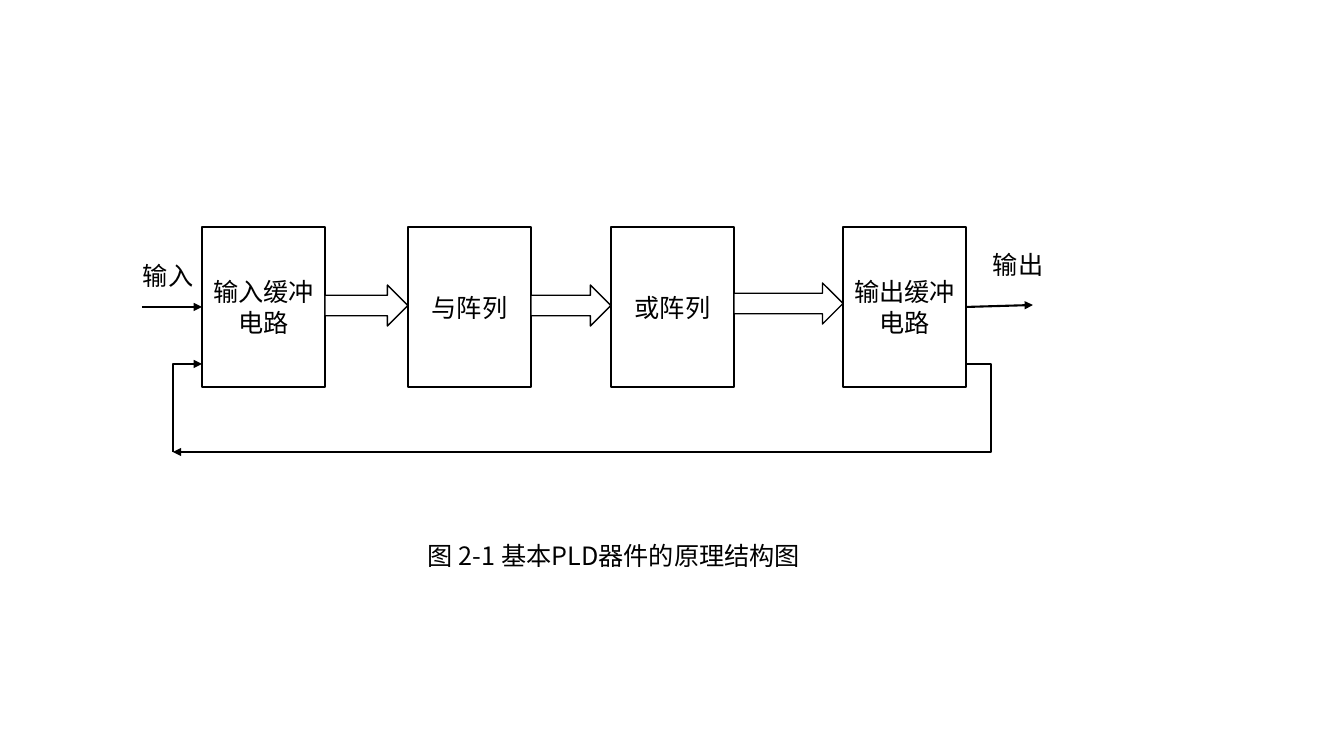
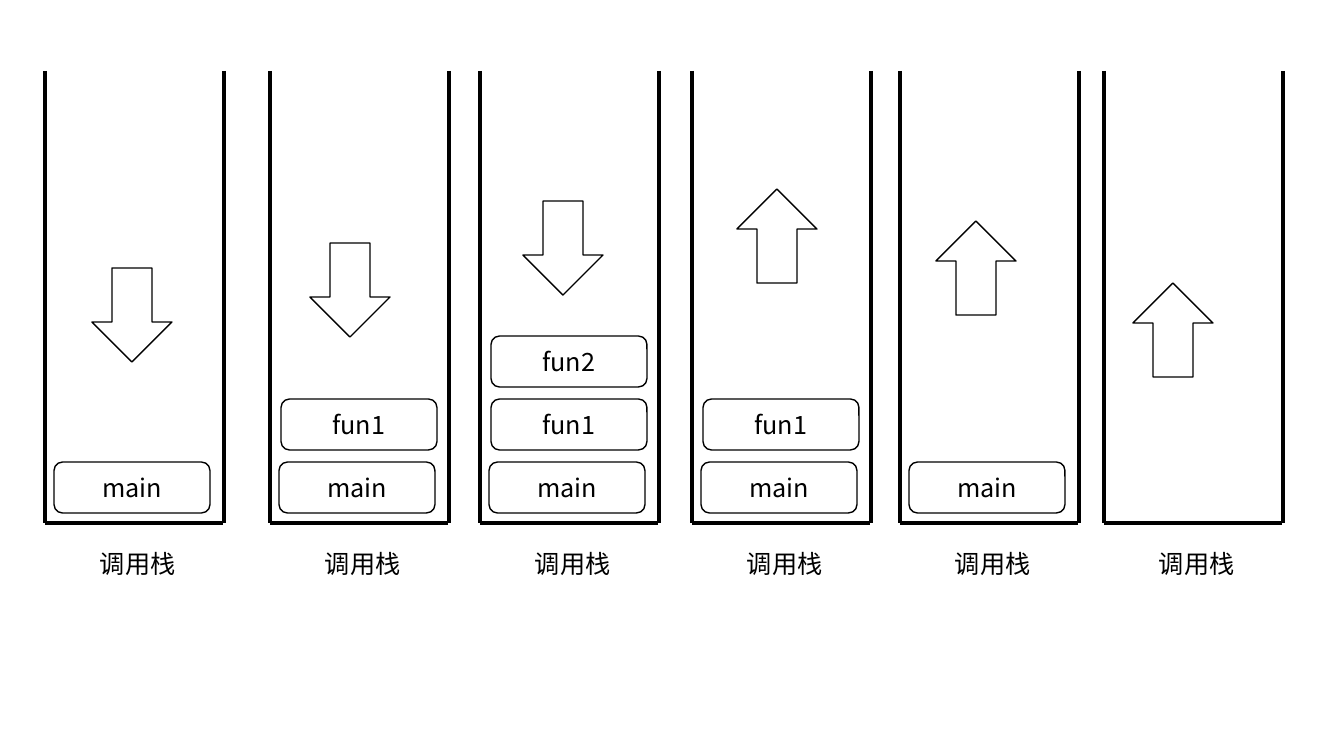
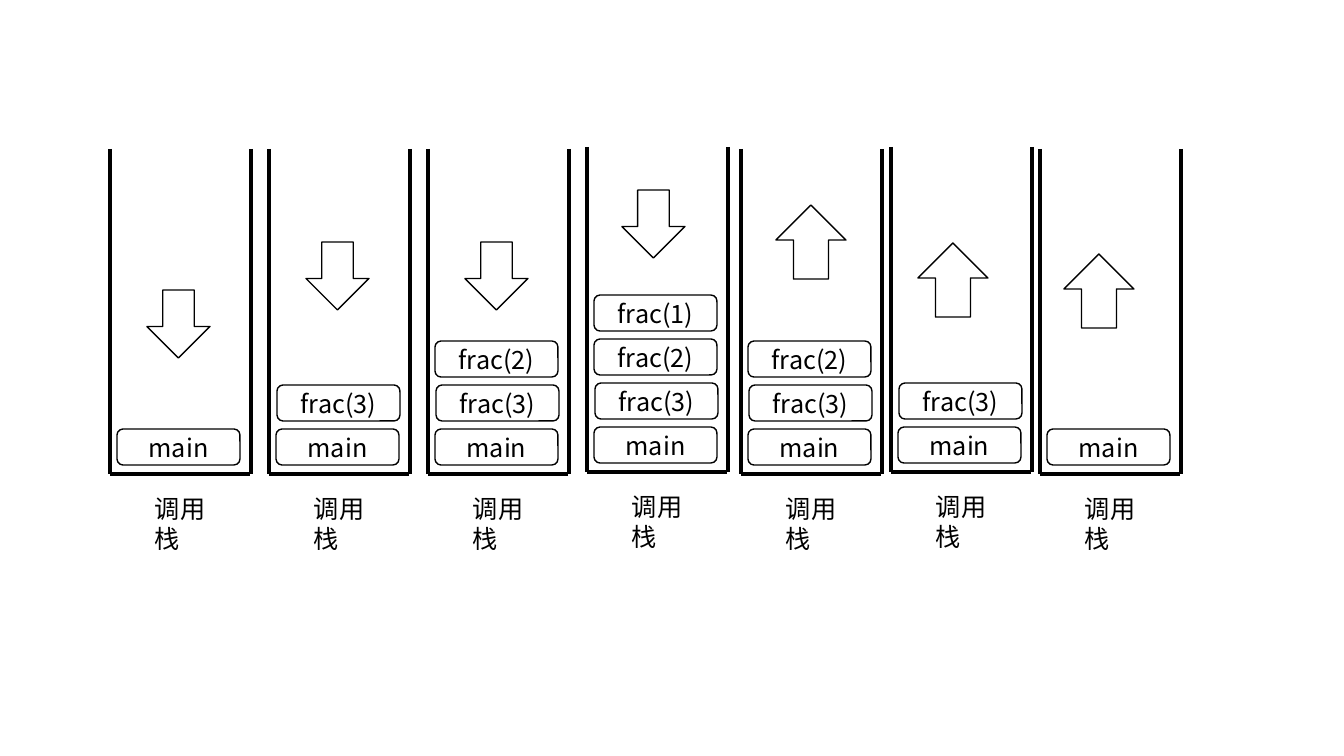
import pptx
import pptx.util
import pptx.dml.color
import pptx.enum.shapes
import pptx.enum.text
import pptx.oxml.ns
import lxml.etree

INK = pptx.dml.color.RGBColor(0x00, 0x00, 0x00)
PAPER = pptx.dml.color.RGBColor(0xFF, 0xFF, 0xFF)
FONT = "Noto Sans CJK SC"
TEXT_PT, OUTLINE_PT, WIRE_PT, WALL_PT = 18, 1, 1.5, 3
SLIDE_SIZE = (1344, 756)
EMU_PER_PX = 914400 / 100.8

SHAPE = pptx.enum.shapes.MSO_SHAPE
CONNECTOR = pptx.enum.shapes.MSO_CONNECTOR
ARROWS = {"down": SHAPE.DOWN_ARROW, "up": SHAPE.UP_ARROW}
qn = pptx.oxml.ns.qn

# Slide 1: block diagram
BLOCK_TOP, BLOCK_SIZE = 227, (123, 160)
BLOCKS = [(202, "输入缓冲电路"), (408, "与阵列"), (611, "或阵列"), (843, "输出缓冲电路")]
BUS_TOPS, BUS_HEIGHT = (285, 285, 283), 41
SIGNALS = [((142, 307), (202, 307)), ((966, 307), (1033, 305))]
FEEDBACK = [((966, 364), (173, 452), -0.032), ((173, 452), (202, 364), 0)]
DIAGRAM_LABELS = [
    ((983, 244, 79, 40), "输出"),
    ((133, 255, 79, 40), "输入"),
    ((418, 535, 436, 40), "图 2-1 基本PLD器件的原理结构图"),
]

# Slides 2 and 3: call stacks as (left, lift, calls from the floor up, step, arrow place)
STACK_NAME = "调用栈"
FUN_STACKS = [
    (45, 0, ["main"], "down", (92, 268)),
    (270, 0, ["main", "fun1"], "down", (310, 243)),
    (480, 0, ["main", "fun1", "fun2"], "down", (523, 201)),
    (692, 0, ["main", "fun1"], "up", (737, 189)),
    (900, 0, ["main"], "up", (936, 221)),
    (1104, 0, [], "up", (1133, 283)),
]
FRAC_STACKS = [
    (110, 0, ["main"], "down", (147, 290)),
    (269, 0, ["main", "frac(3)"], "down", (306, 242)),
    (428, 0, ["main", "frac(3)", "frac(2)"], "down", (465, 242)),
    (587, 2, ["main", "frac(3)", "frac(2)", "frac(1)"], "down", (622, 190)),
    (741, 0, ["main", "frac(3)", "frac(2)"], "up", (776, 205)),
    (891, 2, ["main", "frac(3)"], "up", (918, 243)),
    (1040, 0, ["main"], "up", (1064, 254)),
]
FUN_METRICS = {
    "top": 71, "floor": 523, "width": 179, "frame": (156, 51), "inset": 9,
    "rise": 61, "pitch": 63, "nudges": (0, 2, 2), "name": (45, 20, 120, 40),
    "arrows": {"down": (80, 94), "up": (80, 94)},
}
FRAC_METRICS = {
    "top": 149, "floor": 474, "width": 141, "frame": (123, 36), "inset": 7,
    "rise": 45, "pitch": 44, "nudges": (0, 1, 0, 0), "name": (35, 14, 94, 29),
    "arrows": {"down": (63, 68), "up": (70, 74)},
}


def emu(*pixels):
    """Turn pixel lengths into EMU."""
    return [pptx.util.Emu(round(length * EMU_PER_PX)) for length in pixels]


def write(shape, text, size=TEXT_PT, color=INK, align=None, anchor=None):
    """Put formatted, wrapping text into a shape."""
    frame = shape.text_frame
    frame.word_wrap = True
    frame.vertical_anchor = anchor
    paragraph = frame.paragraphs[0]
    paragraph.alignment = align
    run = paragraph.add_run()
    run.text = text
    run.font.size = pptx.util.Pt(size)
    run.font.name = FONT
    run.font.color.rgb = color
    east_asian = lxml.etree.SubElement(run.font._element, qn("a:ea"))
    east_asian.set("typeface", FONT)


def add_label(slide, box, text):
    """Add a free label that grows with its text."""
    label = slide.shapes.add_textbox(*emu(*box))
    write(label, text)
    label.text_frame.auto_size = pptx.enum.text.MSO_AUTO_SIZE.SHAPE_TO_FIT_TEXT


def add_outline(slide, kind, box, text=None):
    """Add a white outlined shape, with centred text if given."""
    outline = slide.shapes.add_shape(kind, *emu(*box))
    outline.shadow.inherit = False
    outline.fill.solid()
    outline.fill.fore_color.rgb = PAPER
    outline.line.color.rgb = INK
    outline.line.width = pptx.util.Pt(OUTLINE_PT)
    if text:
        write(outline, text, align=pptx.enum.text.PP_ALIGN.CENTER,
              anchor=pptx.enum.text.MSO_ANCHOR.MIDDLE)


def add_line(slide, start, end, width, arrow=False, bend=None):
    """Add a straight line, or an elbow that bends at a share of its width."""
    kind = CONNECTOR.STRAIGHT if bend is None else CONNECTOR.ELBOW
    line = slide.shapes.add_connector(kind, *emu(*start, *end))
    line.line.color.rgb = INK
    line.line.width = pptx.util.Pt(width)
    properties = line._element.spPr
    if arrow:
        lxml.etree.SubElement(properties.find(qn("a:ln")), qn("a:tailEnd"), type="triangle")
    if bend is not None:
        geometry = properties.find(qn("a:prstGeom"))
        adjustments = geometry.find(qn("a:avLst"))
        if adjustments is None:
            adjustments = lxml.etree.SubElement(geometry, qn("a:avLst"))
        lxml.etree.SubElement(adjustments, qn("a:gd"), name="adj1",
                              fmla=f"val {round(bend * 100000)}")
    lxml.etree.SubElement(properties, qn("a:effectLst"))


def draw_diagram(slide):
    """Draw the blocks, the buses between them, the signals and the feedback."""
    width = BLOCK_SIZE[0]
    for left, text in BLOCKS:
        add_outline(slide, SHAPE.RECTANGLE, (left, BLOCK_TOP, *BLOCK_SIZE), text)
    for start, end, bend in FEEDBACK:
        add_line(slide, start, end, WIRE_PT, arrow=True, bend=bend)
    for (left, _), (following, _), top in zip(BLOCKS, BLOCKS[1:], BUS_TOPS):
        bus_left = left + width
        add_outline(slide, SHAPE.RIGHT_ARROW,
                    (bus_left, top, following - bus_left, BUS_HEIGHT))
    for start, end in SIGNALS:
        add_line(slide, start, end, WIRE_PT, arrow=True)
    for box, text in DIAGRAM_LABELS:
        add_label(slide, box, text)


def draw_stacks(slide, stacks, metrics):
    """Draw a row of call stacks with their frames, names and arrows."""
    for left, lift, calls, step, arrow_place in stacks:
        top, floor = metrics["top"] - lift, metrics["floor"] - lift
        right = left + metrics["width"]
        for wall in (left, right):
            add_line(slide, (wall, top), (wall, floor), WALL_PT)
        add_line(slide, (right - 1, floor), (left, floor), WALL_PT)
        name_x, name_y, *name_size = metrics["name"]
        add_label(slide, (left + name_x, floor + name_y, *name_size), STACK_NAME)
        for level, (call, nudge) in enumerate(zip(calls, metrics["nudges"])):
            frame_left = left + metrics["inset"] + nudge
            frame_top = floor - metrics["rise"] - level * metrics["pitch"]
            add_outline(slide, SHAPE.ROUNDED_RECTANGLE,
                        (frame_left, frame_top, *metrics["frame"]), call)
        add_outline(slide, ARROWS[step], (*arrow_place, *metrics["arrows"][step]))


def main():
    """Build and save the three slides."""
    deck = pptx.Presentation()
    deck.slide_width, deck.slide_height = emu(*SLIDE_SIZE)
    blank = deck.slide_layouts[6]
    draw_diagram(deck.slides.add_slide(blank))
    for stacks, metrics in ((FUN_STACKS, FUN_METRICS), (FRAC_STACKS, FRAC_METRICS)):
        draw_stacks(deck.slides.add_slide(blank), stacks, metrics)
    deck.save("out.pptx")


main()
